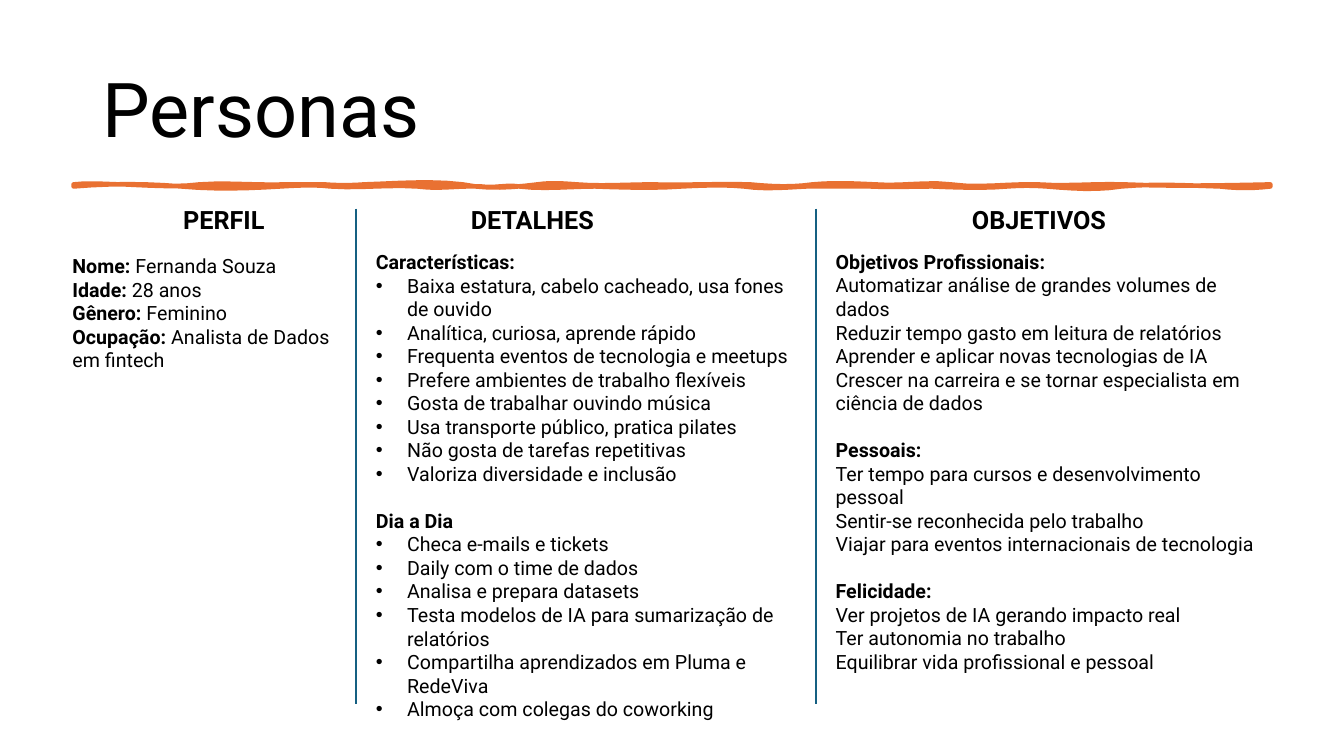
from dataclasses import dataclass

from lxml import etree
from pptx import Presentation
from pptx.dml.color import RGBColor
from pptx.enum.shapes import MSO_CONNECTOR
from pptx.enum.text import MSO_ANCHOR, MSO_AUTO_SIZE, PP_ALIGN
from pptx.oxml.ns import qn
from pptx.util import Inches, Pt

STRAIGHT = MSO_CONNECTOR.STRAIGHT
TOP, MIDDLE = MSO_ANCHOR.TOP, MSO_ANCHOR.MIDDLE
LEFT, CENTER = PP_ALIGN.LEFT, PP_ALIGN.CENTER
GROW, FIXED = MSO_AUTO_SIZE.SHAPE_TO_FIT_TEXT, MSO_AUTO_SIZE.NONE


@dataclass(frozen=True)
class Theme:
    font: str = "Roboto"
    ink: RGBColor = RGBColor(0, 0, 0)
    accent: RGBColor = RGBColor(0xE9, 0x71, 0x32)
    divider: RGBColor = RGBColor(0x15, 0x60, 0x82)
    title: float = 54
    heading: float = 18
    body: float = 14
    section_gap: float = 16.8
    rule_weight: float = 3.25
    divider_weight: float = 1.5


THEME = Theme()
UNIT = Inches(1)
BULLET_INDENT = 0.31
WAVE_STEPS = 6

UPPER_WAVES = [
    (1.24, -2, 0), (1.98, 1, 3), (2.84, -2, 1), (3.22, 0, 0), (3.61, 1, 1),
    (4.59, -1, -4), (5.33, 5, 3), (5.72, -2, -1), (6.46, 2, 0), (7.44, 1, -1),
    (8.06, 2, 3), (8.68, -2, -1), (9.43, 2, -3), (10.29, 4, -1), (11.15, 2, -1),
    (12.6, 2, 1),
]
LOWER_WAVES = [
    (12.1, 2, 2), (11.12, -1, -3), (10.38, 4, 2), (9.99, -1, -1), (9.25, 2, 1),
    (8.63, 0, 1), (8, 0, 0), (7.38, 1, 3), (6.76, -2, -1), (5.9, 2, 1),
    (5.15, 0, 3), (4.77, -2, 2), (4.14, -1, 3), (3.28, -2, 2), (2.78, -2, -1),
    (1.8, 2, 3), (0.73, -3, -3),
]

PROFILE = [(None, [
    ("Nome:", " Fernanda Souza"),
    ("Idade:", " 28 anos"),
    ("Gênero:", " Feminino"),
    ("Ocupação:", " Analista de Dados em fintech"),
])]
DETAILS = [
    ("Características:", [
        "Baixa estatura, cabelo cacheado, usa fones de ouvido",
        "Analítica, curiosa, aprende rápido",
        "Frequenta eventos de tecnologia e meetups",
        "Prefere ambientes de trabalho flexíveis",
        "Gosta de trabalhar ouvindo música",
        "Usa transporte público, pratica pilates",
        "Não gosta de tarefas repetitivas",
        "Valoriza diversidade e inclusão",
    ]),
    ("Dia a Dia", [
        "Checa e-mails e tickets",
        "Daily com o time de dados",
        "Analisa e prepara datasets",
        "Testa modelos de IA para sumarização de relatórios",
        "Compartilha aprendizados em Pluma e RedeViva",
        "Almoça com colegas do coworking",
    ]),
]
GOALS = [
    ("Objetivos Profissionais:", [
        "Automatizar análise de grandes volumes de dados",
        "Reduzir tempo gasto em leitura de relatórios",
        "Aprender e aplicar novas tecnologias de IA",
        "Crescer na carreira e se tornar especialista em ciência de dados",
    ]),
    ("Pessoais:", [
        "Ter tempo para cursos e desenvolvimento pessoal",
        "Sentir-se reconhecida pelo trabalho",
        "Viajar para eventos internacionais de tecnologia",
    ]),
    ("Felicidade:", [
        "Ver projetos de IA gerando impacto real",
        "Ter autonomia no trabalho",
        "Equilibrar vida profissional e pessoal",
    ]),
]

PERSONA_COLUMNS = [
    ("PERFIL", PROFILE, (0.62, 1.98, 2.9, 1.77), 3.2, 0.49, False),
    ("DETALHES", DETAILS, (3.63, 1.98, 4.46, 5.26), 3.3, 0.45, True),
    ("OBJETIVOS", GOALS, (8.19, 1.98, 4.46, 4.32), 4.23, 0.45, False),
]


def apply(target, formats):
    for attribute, value in formats.items():
        setattr(target, attribute, value)


def add_frame(slide, box, anchor=TOP, auto_size=GROW):
    frame = slide.shapes.add_textbox(*(round(n * UNIT) for n in box)).text_frame
    apply(frame, {"word_wrap": True, "auto_size": auto_size, "vertical_anchor": anchor})
    return frame


def write(paragraph, parts, size, align=LEFT, spacing=1.0, before=0):
    apply(paragraph, {"alignment": align, "line_spacing": spacing,
                      "space_before": Pt(before), "space_after": Pt(0)})
    for text, bold in parts:
        run = paragraph.add_run()
        run.text = text
        apply(run.font, {"name": THEME.font, "size": Pt(size), "bold": bold})
        run.font.color.rgb = THEME.ink


def add_bullet(paragraph):
    properties = paragraph._p.get_or_add_pPr()
    indent = round(BULLET_INDENT * UNIT)
    properties.set("marL", str(indent))
    properties.set("indent", str(-indent))
    etree.SubElement(properties, qn("a:buFont")).set("typeface", "Arial")
    etree.SubElement(properties, qn("a:buChar")).set("char", "•")


def draw_title(slide, box):
    frame = add_frame(slide, box, MIDDLE, FIXED)
    write(frame.paragraphs[0], [("Personas", False)], THEME.title, spacing=0.9)


def wave_edge(start, level, waves):
    points = []
    for end, first_bulge, second_bulge in waves:
        for step in range(1, WAVE_STEPS + 1):
            t = step / WAVE_STEPS
            bulge = 3 * t * (1 - t) * ((1 - t) * first_bulge + t * second_bulge) / 100
            points.append((round((start + (end - start) * t) * UNIT),
                           round((level + bulge) * UNIT)))
        start = end
    return points


def draw_wavy_rule(slide, box):
    left, top, width, height = box
    right, bottom = left + width, top + height
    outline = wave_edge(left, top, UPPER_WAVES)
    outline.append((round(right * UNIT), round(bottom * UNIT)))
    outline += wave_edge(right, bottom, LOWER_WAVES)
    builder = slide.shapes.build_freeform(round(left * UNIT), round(top * UNIT))
    builder.add_line_segments(outline, close=True)
    rule = builder.convert_to_shape()
    rule.shadow.inherit = False
    rule.fill.solid()
    rule.fill.fore_color.rgb = THEME.accent
    rule.line.color.rgb = THEME.accent
    rule.line.width = Pt(THEME.rule_weight)
    etree.SubElement(rule.line._get_or_add_ln(), qn("a:round"))


def draw_divider(slide, box):
    x, top, _, height = (round(n * UNIT) for n in box)
    divider = slide.shapes.add_connector(STRAIGHT, x, top, x, top + height)
    divider.line.color.rgb = THEME.divider
    divider.line.width = Pt(THEME.divider_weight)
    etree.SubElement(divider._element.spPr, qn("a:effectLst"))


def draw_persona_column(slide, box, heading, sections, heading_width, body_drop, bulleted):
    left, top, width, height = box
    heading_frame = add_frame(slide, (left + 0.08, top, heading_width - 0.16, 0.4))
    write(heading_frame.paragraphs[0], [(heading, True)], THEME.heading, CENTER)
    body = add_frame(slide, (left, top + body_drop, width, height - body_drop))
    lines = []
    for index, (label, items) in enumerate(sections):
        if label:
            lines.append(([(label, True)], THEME.section_gap if index else 0, False))
        for item in items:
            parts = [(item, False)] if label else [(item[0], True), (item[1], False)]
            lines.append((parts, 0, bulleted))
    for index, (parts, gap, has_bullet) in enumerate(lines):
        paragraph = body.add_paragraph() if index else body.paragraphs[0]
        write(paragraph, parts, THEME.body, before=gap)
        if has_bullet:
            add_bullet(paragraph)


def main():
    deck = Presentation()
    apply(deck, {"slide_width": Inches(13.33), "slide_height": Inches(7.5)})
    slide = deck.slides.add_slide(deck.slide_layouts[6])
    draw_title(slide, (0.92, 0.4, 11.5, 1.45))
    draw_wavy_rule(slide, (0.73, 1.83, 11.87, 0.02))
    for index, (heading, sections, box, *layout) in enumerate(PERSONA_COLUMNS):
        if index:
            draw_divider(slide, (box[0] - 0.1, 2.07, 0, 4.91))
        draw_persona_column(slide, box, heading, sections, *layout)
    deck.save("out.pptx")


if __name__ == "__main__":
    main()
